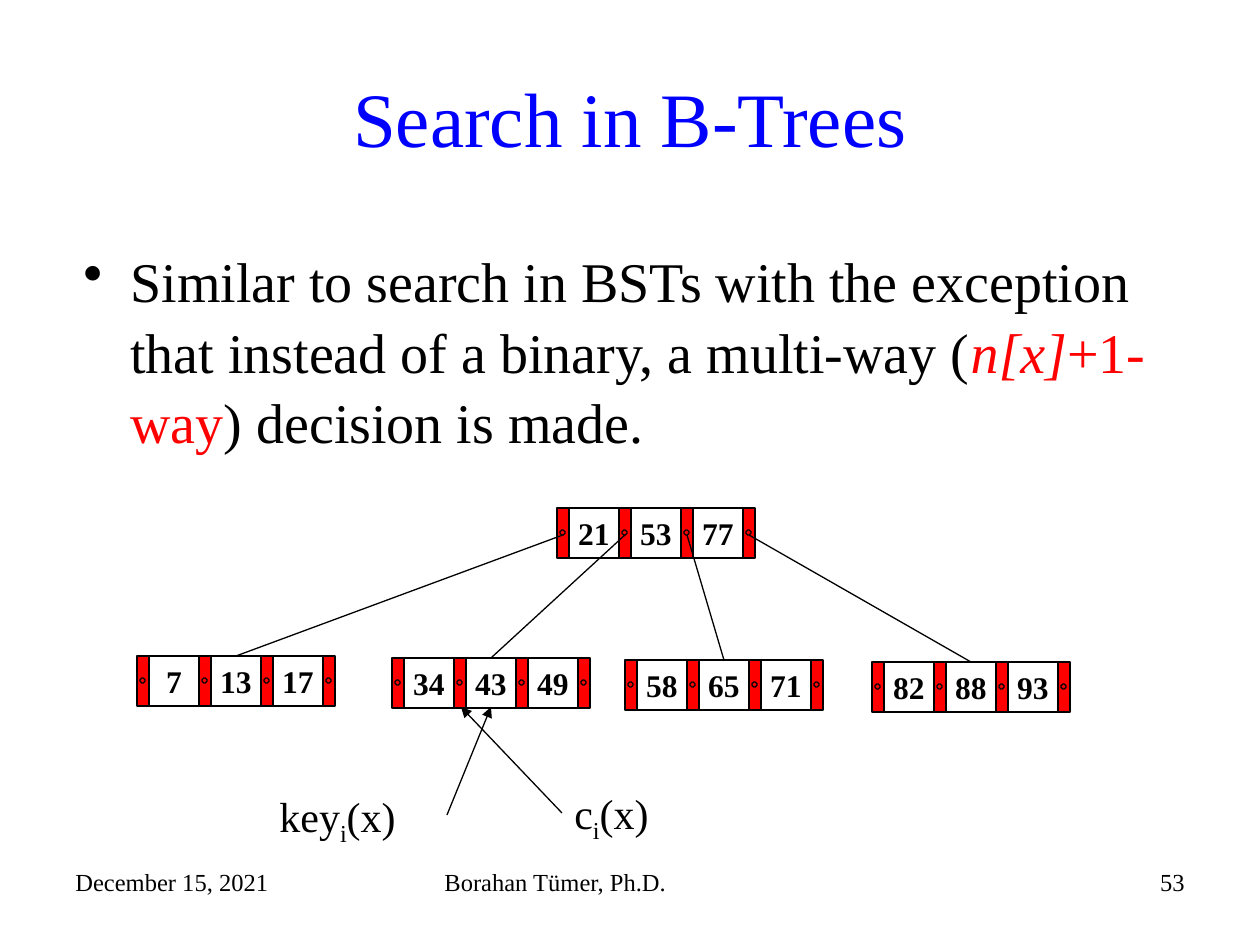
from lxml import etree
from pptx import Presentation
from pptx.dml.color import RGBColor
from pptx.enum.shapes import MSO_CONNECTOR, MSO_SHAPE
from pptx.enum.text import MSO_ANCHOR, PP_ALIGN
from pptx.oxml.ns import qn
from pptx.util import Emu, Pt

BLACK = RGBColor(0, 0, 0)
RED = RGBColor(255, 0, 0)
BLUE = RGBColor(0, 0, 255)
LEFT, CENTER, RIGHT = PP_ALIGN.LEFT, PP_ALIGN.CENTER, PP_ALIGN.RIGHT
MIDDLE = MSO_ANCHOR.MIDDLE
RECT, OCTAGON = MSO_SHAPE.RECTANGLE, MSO_SHAPE.OCTAGON
STRAIGHT = MSO_CONNECTOR.STRAIGHT

POINTER_W, KEY_W, NODE_H, DOT = 12, 50, 50, 5
STEP = POINTER_W + KEY_W
NODE_W = 3 * STEP + POINTER_W
ROOT = (557, 508, (21, 53, 77))
LEAVES = [
    (137, 656, (7, 13, 17)),
    (392, 658, (34, 43, 49)),
    (625, 660, (58, 65, 71)),
    (872, 662, (82, 88, 93)),
]


def px(n):
    return Emu(round(n * 914400 / 126))


class Deck:
    font = "Times New Roman"
    line_width = Pt(0.75)

    def __init__(self, width, height):
        self.prs = Presentation()
        self.prs.slide_width, self.prs.slide_height = px(width), px(height)
        self.slide = self.prs.slides.add_slide(self.prs.slide_layouts[5])

    def style(self, p, size, color=BLACK, align=LEFT, bold=False):
        p.alignment = align
        p.font.name, p.font.size, p.font.bold = self.font, Pt(size), bold
        p.font.color.rgb = color

    def title(self, text, x, y, w, h):
        sp = self.slide.shapes.title
        sp.left, sp.top, sp.width, sp.height = map(px, (x, y, w, h))
        tf = sp.text_frame
        tf.text = text
        tf.vertical_anchor = MIDDLE
        self.style(tf.paragraphs[0], 44, BLUE, CENTER)

    def text(self, text, x, y, w, h, size, align=LEFT):
        tf = self.slide.shapes.add_textbox(*map(px, (x, y, w, h))).text_frame
        tf.word_wrap = True
        p = tf.paragraphs[0]
        p.text = text
        self.style(p, size, BLACK, align)
        return p

    def bullet(self, runs, x, y, w, h):
        p = self.text("", x, y, w, h, 32)
        p.line_spacing = 1.05
        pPr = p._p.get_or_add_pPr()
        pPr.set("marL", str(px(47)))
        pPr.set("indent", str(-px(47)))
        bu = etree.Element(qn("a:buChar"), char="•")
        pPr.find(qn("a:defRPr")).addprevious(bu)
        for text, color, italic in runs:
            r = p.add_run()
            r.text = text
            r.font.color.rgb, r.font.italic = color, italic

    def label(self, name, x, y, w, h):
        p = self.text("", x, y, w, h, 24)
        for text in (name, "i", "(x)"):
            r = p.add_run()
            r.text = text
            if text == "i":
                r.font._element.set("baseline", "-25000")

    def shape(self, kind, x, y, w, h, fill=None):
        sp = self.slide.shapes.add_shape(kind, *map(px, (x, y, w, h)))
        sp.shadow.inherit = False
        sp.line.color.rgb, sp.line.width = BLACK, self.line_width
        if fill is None:
            sp.fill.background()
        else:
            sp.fill.solid()
            sp.fill.fore_color.rgb = fill
        return sp

    def key(self, value, x, y):
        tf = self.shape(RECT, x, y, KEY_W, NODE_H).text_frame
        tf.word_wrap = False
        tf.vertical_anchor = MIDDLE
        tf.text = str(value)
        self.style(tf.paragraphs[0], 18, BLACK, CENTER, True)

    def pointer(self, x, y):
        self.shape(RECT, x, y, POINTER_W, NODE_H, RED)
        dot = self.shape(OCTAGON, x + 3, y + 22, DOT, DOT, RED)
        dot.adjustments[0] = 0.35

    def node(self, x, y, keys):
        for i, value in enumerate(keys):
            self.key(value, x + POINTER_W + i * STEP, y)
        for i in range(len(keys) + 1):
            self.pointer(x + i * STEP, y)

    def line(self, x1, y1, x2, y2, arrow=False):
        cn = self.slide.shapes.add_connector(STRAIGHT, *map(px, (x1, y1, x2, y2)))
        cn.line.color.rgb, cn.line.width = BLACK, self.line_width
        if arrow:
            etree.SubElement(cn.line._get_or_add_ln(), qn("a:tailEnd"), type="triangle")
        etree.SubElement(cn._element.spPr, qn("a:effectLst"))


def main():
    deck = Deck(1260, 945)
    deck.text("December 15, 2021", 63, 861, 294, 65, 14)
    deck.text("Borahan Tümer, Ph.D.", 432, 861, 399, 65, 14)
    deck.text("53", 903, 861, 294, 65, 14, RIGHT)
    deck.title("Search in B-Trees", 63, 38, 1134, 158)
    deck.bullet([
        ("Similar to search in BSTs with the exception that instead of a binary, "
         "a multi-way (", BLACK, False),
        ("n[x]", RED, True),
        ("+1-way", RED, False),
        (") decision is made.", BLACK, False),
    ], 71, 237, 1126, 236)

    for node in [ROOT, *LEAVES]:
        deck.node(*node)
    root_x, root_y, _ = ROOT
    for i, (x, y, _) in enumerate(LEAVES):
        deck.line(root_x + POINTER_W // 2 + i * STEP, root_y + 27, x + NODE_W // 2, y)

    deck.label("key", 267, 784, 181, 63)
    deck.label("c", 562, 781, 141, 63)
    deck.line(447, 815, 491, 707, arrow=True)
    deck.line(562, 813, 461, 707, arrow=True)
    deck.prs.save("out.pptx")


if __name__ == "__main__":
    main()
